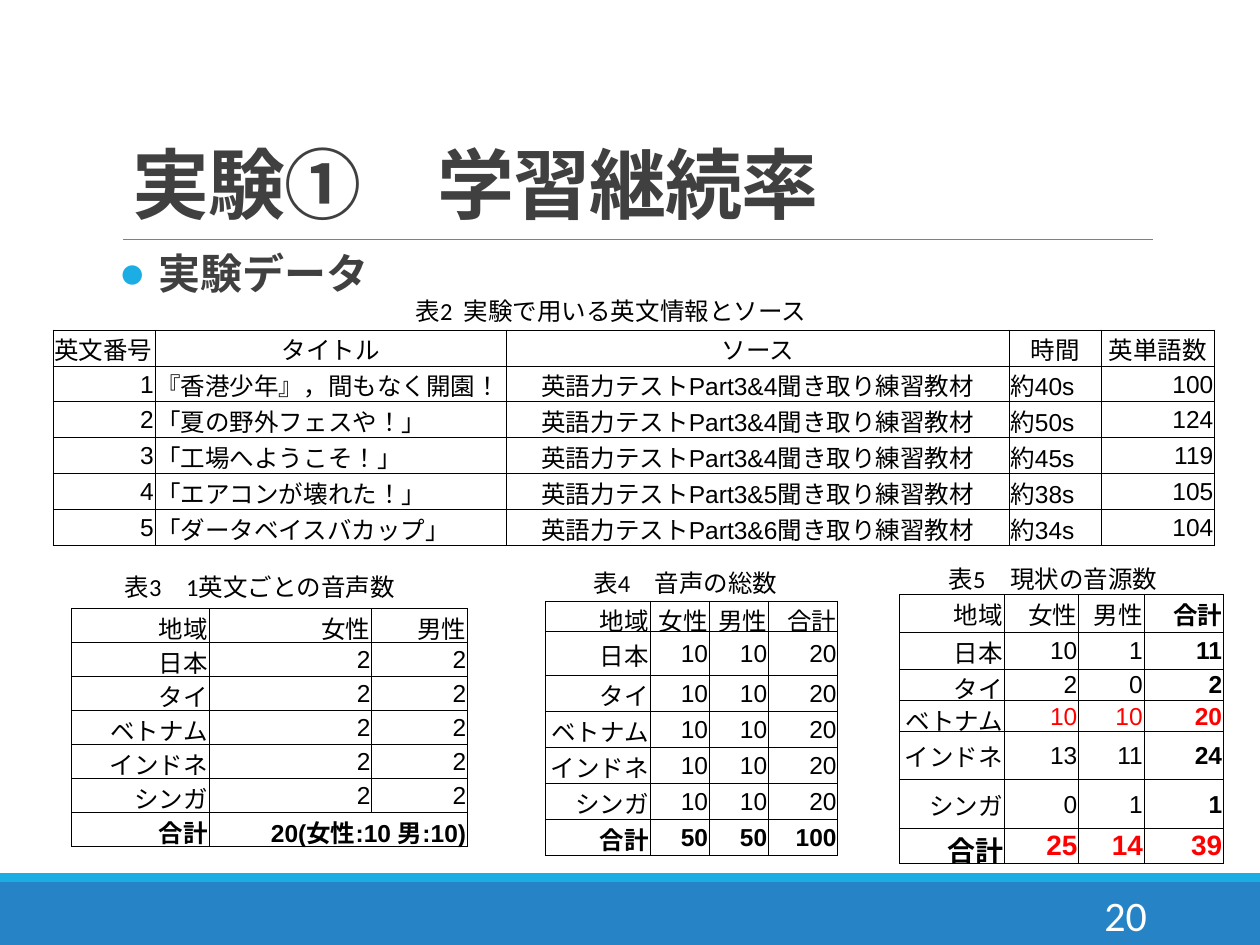
"""Build the slide of experiment data: four bordered tables with captions."""
from dataclasses import dataclass

from lxml.etree import SubElement
from pptx import Presentation
from pptx.dml.color import RGBColor
from pptx.enum.shapes import MSO_CONNECTOR, MSO_SHAPE
from pptx.enum.text import MSO_ANCHOR as Anchor, MSO_AUTO_SIZE as AutoSize, PP_ALIGN as Align
from pptx.oxml.ns import qn
from pptx.util import Inches, Pt

COLORS = {"blue": "2683C6", "cyan": "1CADE4", "rule": "808080", "text": "404040",
          "black": "000000", "red": "FF0000", "white": "FFFFFF"}
WIDTH, HEIGHT = Inches(10), Inches(7.5)
GRID_COLUMNS, GRID_ROWS = 100, 75
LEFT, CENTER, RIGHT = Align.LEFT, Align.CENTER, Align.RIGHT


@dataclass(frozen=True)
class Box:
    left: float
    top: float
    width: float
    height: float


@dataclass(frozen=True)
class TextStyle:
    size: float
    color: str = "black"
    bold: bool = False
    font: str = "Calibri"


@dataclass(frozen=True)
class TableSpec:
    box: Box
    columns: list[float]
    rows: list[float]
    cells: list[list[str]]
    header_alignment: list
    body_alignment: list
    bold: frozenset = frozenset()
    red: frozenset = frozenset()
    total_size: int = 14
    merge: tuple | None = None


@dataclass(frozen=True)
class Caption:
    box: Box
    text: str


def across(columns: float) -> int:
    return round(WIDTH * columns / GRID_COLUMNS)


def down(rows: float) -> int:
    return round(HEIGHT * rows / GRID_ROWS)


def place(box: Box) -> tuple[int, int, int, int]:
    return across(box.left), down(box.top), across(box.width), down(box.height)


def rgb(name: str) -> RGBColor:
    return RGBColor.from_string(COLORS[name])


def add_run(paragraph, text: str, style: TextStyle):
    run = paragraph.add_run()
    run.text = text
    run.font.size, run.font.name, run.font.bold = Pt(style.size), style.font, style.bold
    run.font.color.rgb = rgb(style.color)
    run.font._element.set("lang", "ja-JP")
    return run


def add_text(slide, box: Box, text: str, style: TextStyle, alignment=LEFT, anchor=Anchor.TOP):
    frame = slide.shapes.add_textbox(*place(box)).text_frame
    frame.word_wrap, frame.vertical_anchor = True, anchor
    paragraph = frame.paragraphs[0]
    paragraph.alignment = alignment
    add_run(paragraph, text, style)
    return frame


def add_bar(slide, box: Box, color: str) -> None:
    shape = slide.shapes.add_shape(MSO_SHAPE.RECTANGLE, *place(box))
    shape.shadow.inherit = False
    shape.fill.solid()
    shape.fill.fore_color.rgb = rgb(color)
    shape.line.fill.background()


def add_rule(slide, left: float, right: float, top: float) -> None:
    line = slide.shapes.add_connector(MSO_CONNECTOR.STRAIGHT, across(left), down(top),
                                      across(right), down(top))
    line.line.color.rgb, line.line.width = rgb("rule"), Pt(0.5)
    SubElement(line._element.spPr, qn("a:effectLst"))


def set_title(slide, box: Box, text: str) -> None:
    title = slide.shapes.title
    title.left, title.top, title.width, title.height = place(box)
    frame = title.text_frame
    frame.auto_size, frame.vertical_anchor, frame.word_wrap = AutoSize.NONE, Anchor.BOTTOM, True
    paragraph = frame.paragraphs[0]
    paragraph.alignment, paragraph.line_spacing = LEFT, 0.85
    run = add_run(paragraph, text, TextStyle(44, "text", True))
    run.font._element.set("spc", "-50")


def add_bullet_heading(slide, box: Box, text: str) -> None:
    frame = add_text(slide, box, text, TextStyle(24, "text", True))
    frame.margin_left = frame.margin_right = 0
    paragraph = frame.paragraphs[0]
    properties = paragraph._p.get_or_add_pPr()
    properties.set("marL", str(across(3.1)))
    properties.set("indent", str(-across(3.1)))
    color = SubElement(properties, qn("a:buClr"))
    SubElement(color, qn("a:srgbClr"), val=COLORS["cyan"])
    SubElement(properties, qn("a:buFont"), typeface="Calibri")
    SubElement(properties, qn("a:buChar"), char="●")
    paragraph.line_spacing, paragraph.space_after = 0.9, Pt(2)


def format_cell(cell) -> None:
    cell.margin_left = cell.margin_top = cell.margin_right = Inches(0.01)
    cell.margin_bottom = 0
    cell.vertical_anchor = Anchor.MIDDLE
    properties = cell._tc.get_or_add_tcPr()
    for side in ("a:lnL", "a:lnR", "a:lnT", "a:lnB"):
        border = SubElement(properties, qn(side), w=str(Pt(0.5)))
        SubElement(SubElement(border, qn("a:solidFill")), qn("a:srgbClr"), val=COLORS["black"])
    cell.fill.background()


def add_grid(slide, spec: TableSpec) -> None:
    shape = slide.shapes.add_table(len(spec.rows), len(spec.columns), *place(spec.box))
    table = shape.table
    table.first_row = table.horz_banding = False
    for column, width in zip(table.columns, spec.columns):
        column.width = across(width)
    for row, height in zip(table.rows, spec.rows):
        row.height = down(height)
    shape.height = down(spec.box.height)
    last = len(spec.rows) - 1
    for i, texts in enumerate(spec.cells):
        alignments = spec.body_alignment if i else spec.header_alignment
        for j, text in enumerate(texts):
            cell = table.cell(i, j)
            format_cell(cell)
            if not text:
                continue
            paragraph = cell.text_frame.paragraphs[0]
            paragraph.alignment = alignments[j]
            color = "red" if (i, j) in spec.red else "black"
            size = spec.total_size if i == last else 14
            add_run(paragraph, text, TextStyle(size, color, (i, j) in spec.bold, "Arial"))
    if spec.merge:
        start, end = spec.merge
        table.cell(*start).merge(table.cell(*end))


REGIONS = ["日本", "タイ", "ベトナム", "インドネ", "シンガ"]
SOURCES = [("『香港少年』，間もなく開園！", 4, 40, 100), ("「夏の野外フェスや！」", 4, 50, 124),
           ("「工場へようこそ！」", 4, 45, 119), ("「エアコンが壊れた！」", 5, 38, 105),
           ("「ダータベイスバカップ」", 6, 34, 104)]
CURRENT = [(10, 1, 11), (2, 0, 2), (10, 10, 20), (13, 11, 24), (0, 1, 1)]
HEADER = ["地域", "女性", "男性", "合計"]
TOTAL_ROW = frozenset((6, j) for j in range(4))
TABLES = [
    TableSpec(Box(4.2, 26.2, 92.3, 17.1), [8.1, 27.9, 39.9, 7.3, 9], [2.85] * 6,
              [["英文番号", "タイトル", "ソース", "時間", "英単語数"]]
              + [[str(n), title, f"英語力テストPart3&{part}聞き取り練習教材", f"約{seconds}s", str(words)]
                 for n, (title, part, seconds, words) in enumerate(SOURCES, 1)],
              [LEFT] + [CENTER] * 4, [RIGHT, LEFT, CENTER, LEFT, RIGHT]),
    TableSpec(Box(43.3, 47.7, 23.2, 20.2), [8.3, 4.7, 4.7, 5.5], [1.6, 3.5] + [2.85] * 5,
              [HEADER] + [[region, "10", "10", "20"] for region in REGIONS]
              + [["合計", "50", "50", "100"]], [RIGHT] * 4, [RIGHT] * 4, TOTAL_ROW),
    TableSpec(Box(71.4, 47.2, 25.6, 21.2), [8.3, 5.9, 5.2, 6.3], [3, 2.9, 2.5, 2.4, 3.85, 3.85, 2.4],
              [HEADER] + [[region, *map(str, counts)] for region, counts in zip(REGIONS, CURRENT)]
              + [["合計", "25", "14", "39"]], [RIGHT] * 4, [RIGHT] * 4,
              TOTAL_ROW | {(i, 3) for i in range(6)},
              frozenset((i, j) for i in (3, 6) for j in (1, 2, 3)), 16),
    TableSpec(Box(5.7, 48.3, 31.4, 18.9), [10.9, 12.9, 7.6], [2.7] * 7,
              [HEADER[:3]] + [[region, "2", "2"] for region in REGIONS]
              + [["合計", "20(女性:10 男:10)", ""]], [RIGHT] * 3, [RIGHT] * 3,
              TOTAL_ROW, merge=((6, 1), (6, 2))),
]
CAPTIONS = [Caption(Box(32, 23, 45.8, 3.4), "表2  実験で用いる英文情報とソース"),
            Caption(Box(8.9, 44.9, 27.3, 3.4), "表3　1英文ごとの音声数"),
            Caption(Box(46.1, 44.6, 18.5, 3.4), "表4　音声の総数"),
            Caption(Box(74.3, 44.3, 19.7, 3.4), "表5　現状の音源数")]


def main() -> None:
    presentation = Presentation()
    presentation.slide_width, presentation.slide_height = WIDTH, HEIGHT
    slide = presentation.slides.add_slide(presentation.slide_layouts[5])
    add_bar(slide, Box(0, 70, 100, 5), "blue")
    add_bar(slide, Box(0, 69.3, 100, 0.7), "cyan")
    add_rule(slide, 9.8, 91.5, 19)
    set_title(slide, Box(9.5, 8.5, 82.5, 10.2), "実験①　学習継続率")
    add_bullet_heading(slide, Box(9.5, 19.6, 82.5, 5.1), "実験データ")
    add_text(slide, Box(81.2, 70.6, 10.8, 4), "20", TextStyle(24, "white"), RIGHT, Anchor.MIDDLE)
    for caption in CAPTIONS:
        add_text(slide, caption.box, caption.text, TextStyle(14))
    for spec in TABLES:
        add_grid(slide, spec)
    presentation.save("out.pptx")


if __name__ == "__main__":
    main()
